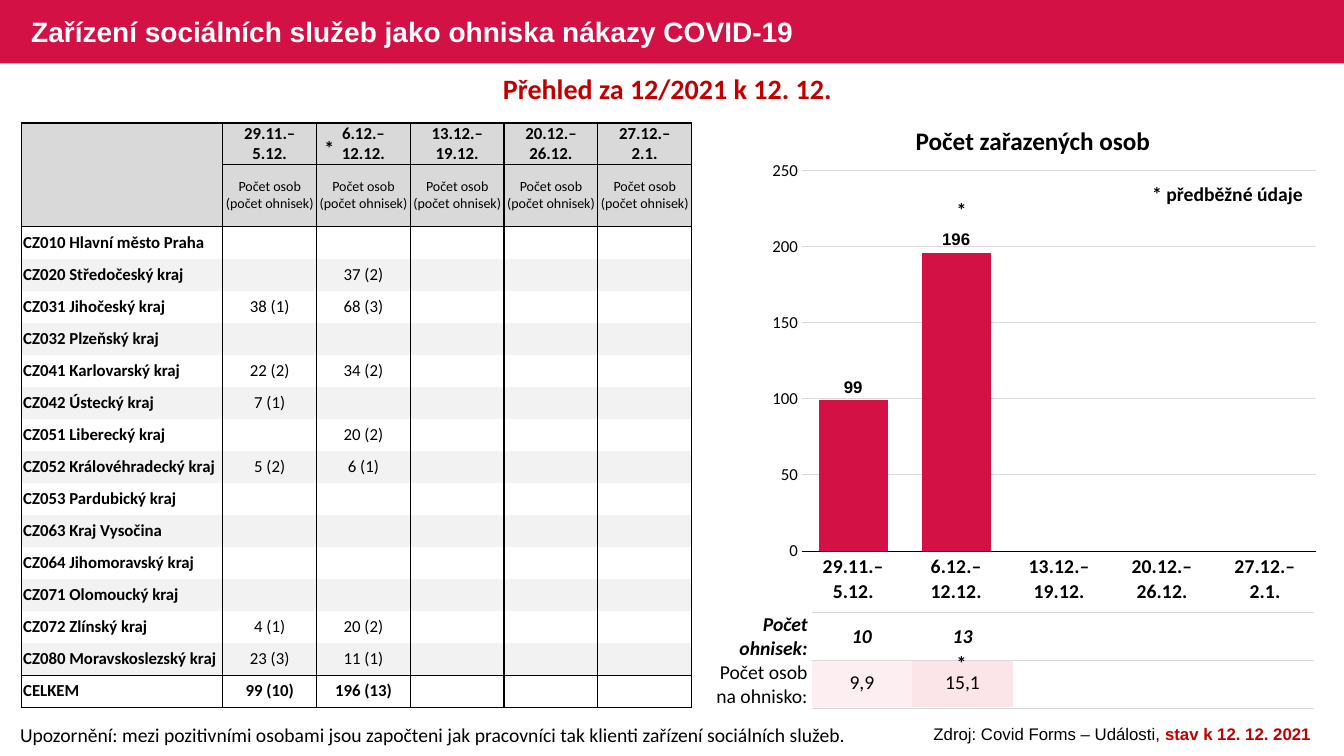
"""Build the slide on social care facilities as COVID-19 outbreak sites."""
from lxml.etree import SubElement
from pptx import Presentation
from pptx.chart.data import CategoryChartData
from pptx.dml.color import RGBColor
from pptx.enum.chart import XL_CHART_TYPE as ChartType, XL_LABEL_POSITION as LabelPosition, XL_TICK_MARK as TickMark
from pptx.enum.shapes import MSO_SHAPE as ShapeKind
from pptx.enum.text import MSO_ANCHOR as Anchor, PP_ALIGN as Align
from pptx.oxml import parse_xml
from pptx.oxml.ns import nsdecls, qn
from pptx.util import Inches, Pt

color = RGBColor.from_string
RED, DARK_RED, BLACK, GREY, BAND = "D31145", "C00000", "000000", "D9D9D9", "F2F2F2"
WEEKS = ["29.11.–\n5.12.", "6.12.–\n12.12.", "13.12.–\n19.12.", "20.12.–\n26.12.", "27.12.–\n2.1."]
REGIONS = [
    ("CZ010 Hlavní město Praha", "", ""),
    ("CZ020 Středočeský kraj", "", "37 (2)"),
    ("CZ031 Jihočeský kraj", "38 (1)", "68 (3)"),
    ("CZ032 Plzeňský kraj", "", ""),
    ("CZ041 Karlovarský kraj", "22 (2)", "34 (2)"),
    ("CZ042 Ústecký kraj", "7 (1)", ""),
    ("CZ051 Liberecký kraj", "", "20 (2)"),
    ("CZ052 Královéhradecký kraj", "5 (2)", "6 (1)"),
    ("CZ053 Pardubický kraj", "", ""),
    ("CZ063 Kraj Vysočina", "", ""),
    ("CZ064 Jihomoravský kraj", "", ""),
    ("CZ071 Olomoucký kraj", "", ""),
    ("CZ072 Zlínský kraj", "4 (1)", "20 (2)"),
    ("CZ080 Moravskoslezský kraj", "23 (3)", "11 (1)"),
    ("CELKEM", "99 (10)", "196 (13)"),
]


def write(frame, text, size, align=Align.LEFT, bold=False, italic=False, ink=BLACK, font="Calibri"):
    paragraph = frame.paragraphs[0]
    paragraph.alignment = align
    for number, line in enumerate(text.split("\n")):
        if number:
            paragraph.add_line_break()
        run = paragraph.add_run()
        run.text = line
        run.font.size, run.font.name = Pt(size), font
        run.font.bold, run.font.italic = bold, italic
        run.font.color.rgb = color(ink)


def format_cell(cell, fill, edges, left=0.01, right=0.01):
    cell.vertical_anchor = Anchor.MIDDLE
    cell.margin_left, cell.margin_right = Inches(left), Inches(right)
    cell.margin_top = cell.margin_bottom = 0
    properties = cell._tc.get_or_add_tcPr()
    for side in "LRTB":
        ink, width = edges.get(side, (None, 0))
        line = SubElement(properties, qn(f"a:ln{side}"), w=str(Pt(width)))
        if width:
            SubElement(SubElement(line, qn("a:solidFill")), qn("a:srgbClr"), val=ink)
        else:
            SubElement(line, qn("a:noFill"))
    if fill:
        cell.fill.solid()
        cell.fill.fore_color.rgb = color(fill)
    else:
        cell.fill.background()


presentation = Presentation()
presentation.slide_width, presentation.slide_height = Inches(13.33), Inches(7.5)
slide = presentation.slides.add_slide(presentation.slide_layouts[5])

title = slide.shapes.title
title.left, title.top, title.width, title.height = Inches(0.21), Inches(0.02), Inches(8.13), Inches(0.63)
title.text_frame.vertical_anchor = Anchor.MIDDLE
title.text_frame.paragraphs[0].line_spacing = 0.9
write(title.text_frame, "Zařízení sociálních služeb jako ohniska nákazy COVID-19", 20,
      bold=True, ink="FFFFFF", font="Arial")

banner = slide.shapes.add_shape(ShapeKind.RECTANGLE, 0, 0, presentation.slide_width, Inches(0.63))
banner.shadow.inherit = False
banner.fill.solid()
banner.fill.fore_color.rgb = color(RED)
banner.line.fill.background()
title.element.addprevious(banner.element)

ratio_table = slide.shapes.add_table(2, 5, Inches(8.05), Inches(6.08), Inches(4.99), Inches(0.93)).table
region_table = slide.shapes.add_table(17, 6, Inches(0.21), Inches(1.22), Inches(6.65), Inches(5.8)).table
label_table = slide.shapes.add_table(2, 8, Inches(7.04), Inches(6.08), Inches(5.99), Inches(0.93)).table
for table, widths, heights in (
    (ratio_table, [4.99 / 5] * 5, [0.93 / 2] * 2),
    (label_table, [1.01] + [4.98 / 7] * 7, [0.93 / 2] * 2),
    (region_table, [2] + [0.93] * 5, [0.41, 0.62] + [4.77 / 15] * 15),
):
    table.first_row = table.horz_banding = False
    for column, width in zip(table.columns, widths):
        column.width = Inches(width)
    for row, height in zip(table.rows, heights):
        row.height = Inches(height)

ratios = [("10", "13"), ("9,9", "15,1")]
ratio_fills = [(None, None), ("FCEEF1", "FCE5E8")]
labels = ["Počet ohnisek:", "Počet osob na ohnisko:"]
for row in range(2):
    strong = row == 0
    for column in range(5):
        cell = ratio_table.cell(row, column)
        format_cell(cell, ratio_fills[row][column] if column < 2 else None, {})
        if column < 2:
            write(cell.text_frame, ratios[row][column], 14, Align.CENTER, strong, strong)
    format_cell(label_table.cell(row, 0), None, {}, right=0.04)
    write(label_table.cell(row, 0).text_frame, labels[row], 14, Align.RIGHT, strong, strong)
    for column in range(1, 8):
        format_cell(label_table.cell(row, column), None, {"T": (GREY, 1), "B": (GREY, 1)})

region_rows = [[""] + WEEKS, [""] + ["Počet osob (počet ohnisek)"] * 5] + REGIONS
rule_widths = {0: 1, 1: 1, 2: 0.5, 16: 1, 17: 1}
for row, values in enumerate(region_rows):
    fill = GREY if row < 2 else BAND if row % 2 else None
    for column in range(6):
        edges = {"L": (BLACK, 1), "R": (BLACK, 1)}
        for side, rule in (("T", row), ("B", row + 1)):
            if rule in rule_widths and (column or rule != 1):
                edges[side] = (BLACK, rule_widths[rule])
        cell = region_table.cell(row, column)
        format_cell(cell, fill, edges, left=0.01 if column else 0.02)
        if column < len(values) and values[column]:
            write(cell.text_frame, values[column], 10 if row == 1 else 12,
                  Align.CENTER if column else Align.LEFT, column == 0 or row in (0, 16))

chart_data = CategoryChartData()
chart_data.categories = WEEKS
chart_data.add_series("Series 1", (99, 196, None, None, None))
chart = slide.shapes.add_chart(ChartType.COLUMN_CLUSTERED, Inches(7.56), Inches(1.51),
                               Inches(5.61), Inches(4.55), chart_data).chart
chart.has_title = chart.has_legend = False
chart.font.size, chart.font.name, chart.font.bold = Pt(14), "Arial", True
chart.font.color.rgb = color(BLACK)
plot = chart.plots[0]
plot.gap_width, plot.vary_by_categories = 50, False
series = plot.series[0]
series.format.fill.solid()
series.format.fill.fore_color.rgb = color(RED)
data_labels = series.data_labels
data_labels.show_value = True
data_labels.position = LabelPosition.OUTSIDE_END
for part, size, bold, font in (
    (data_labels, 12, True, "Arial"),
    (chart.category_axis.tick_labels, 14, True, "Calibri"),
    (chart.value_axis.tick_labels, 12, False, "Calibri"),
):
    part.font.size, part.font.bold, part.font.name = Pt(size), bold, font
    part.font.color.rgb = color(BLACK)
for axis in (chart.category_axis, chart.value_axis):
    axis.major_tick_mark = axis.minor_tick_mark = TickMark.NONE
chart.category_axis.format.line.color.rgb = color(BLACK)
chart.category_axis.format.line.width = Pt(0.75)
value_axis = chart.value_axis
value_axis.minimum_scale, value_axis.maximum_scale, value_axis.major_unit = 0, 250, 50
value_axis.format.line.fill.background()
value_axis.major_gridlines.format.line.color.rgb = color(GREY)
value_axis.major_gridlines.format.line.width = Pt(0.75)
chart.element.find(".//" + qn("c:plotArea")).insert(0, parse_xml(
    f'<c:layout {nsdecls("c")}><c:manualLayout><c:layoutTarget val="inner"/>'
    '<c:xMode val="edge"/><c:yMode val="edge"/><c:x val="0.07"/><c:y val="0.04"/>'
    '<c:w val="0.91"/><c:h val="0.83"/></c:manualLayout></c:layout>'))

source_run = ("Zdroj: Covid Forms – Události, ", 12, Align.CENTER, False, False, BLACK, "Arial")
date_run = ("stav k 12. 12. 2021", 12, Align.CENTER, True, False, DARK_RED, "Arial")
star_run = ("*", 14, Align.LEFT, True)
for left, top, width, height, wrap, runs in (
    (0.1, 7.12, 8.52, 0.34, True, [("Upozornění: mezi pozitivními osobami jsou započteni jak "
                                    "pracovníci tak klienti zařízení sociálních služeb.", 14)]),
    (9.03, 7.13, 4.2, 0.3, True, [source_run, date_run]),
    (0.21, 0.66, 12.82, 0.44, True, [("Přehled za 12/2021 k 12. 12.", 20, Align.CENTER, True, False, DARK_RED)]),
    (7.56, 1.19, 5.37, 0.4, True, [("Počet zařazených osob", 18, Align.CENTER, True)]),
    (11.33, 1.76, 1.7, 0.34, False, [("* předběžné údaje", 14, Align.LEFT, True)]),
    (9.39, 1.91, 0.3, 0.34, False, [star_run]),
    (9.39, 6.41, 0.3, 0.34, False, [star_run]),
    (3.12, 1.3, 0.3, 0.34, False, [star_run]),
):
    box = slide.shapes.add_textbox(Inches(left), Inches(top), Inches(width), Inches(height))
    box.text_frame.word_wrap = wrap
    for run in runs:
        write(box.text_frame, *run)

presentation.save("out.pptx")
